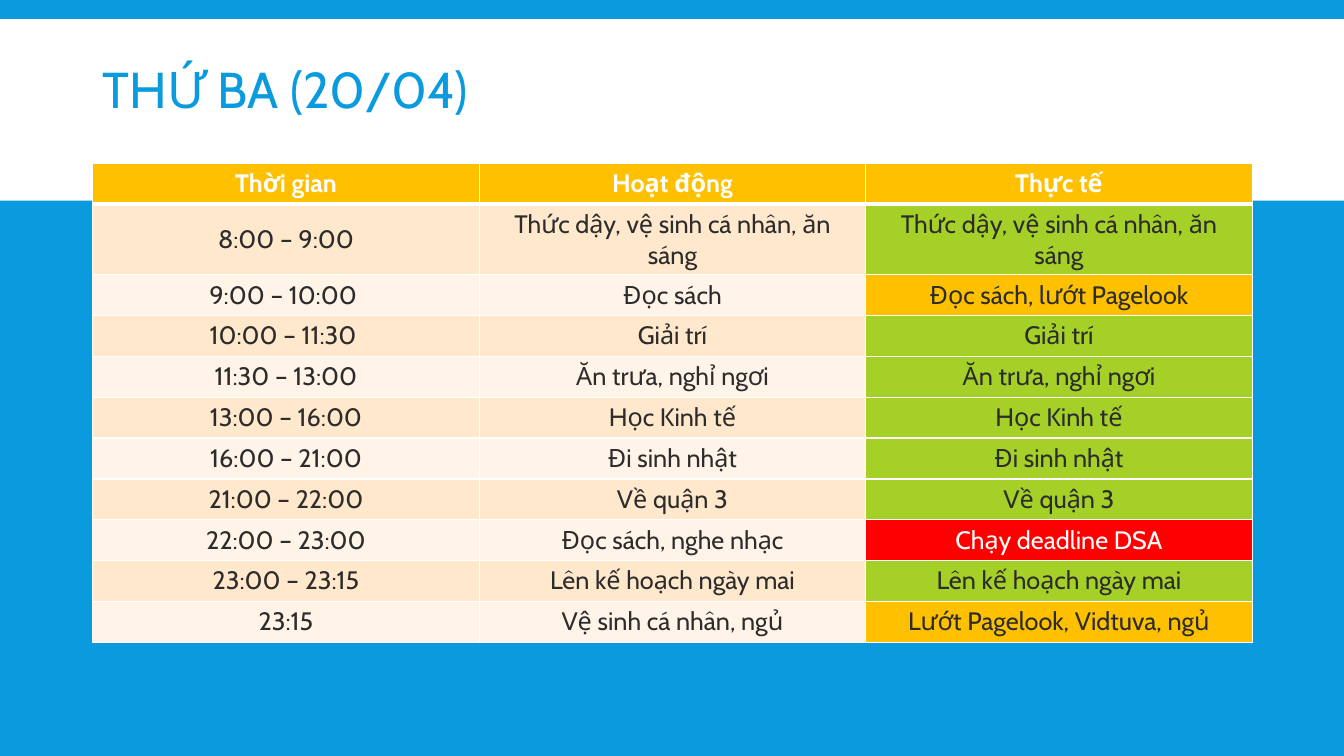
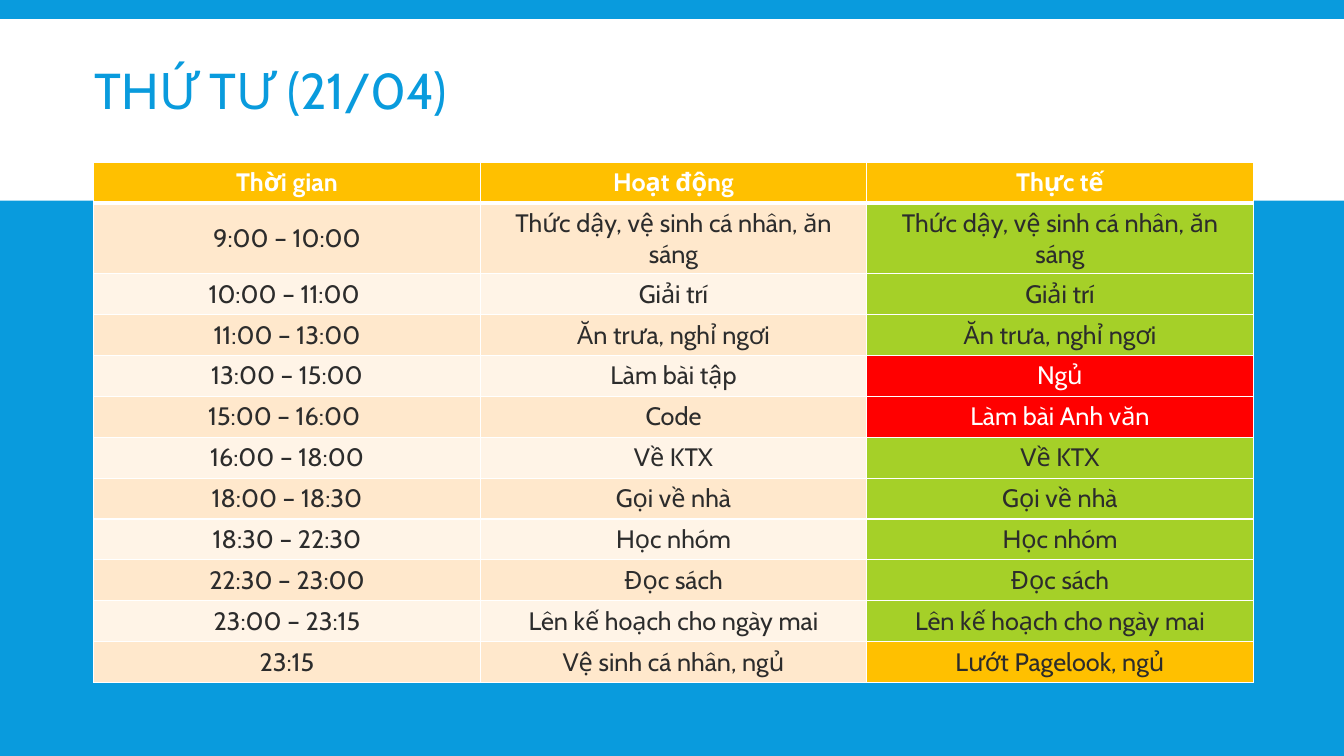
"""Builds two daily schedule slides comparing planned and actual activities."""
from typing import NamedTuple

from lxml.etree import SubElement
from pptx import Presentation
from pptx.dml.color import RGBColor
from pptx.enum.shapes import MSO_SHAPE as Shape
from pptx.enum.text import MSO_ANCHOR as Anchor, PP_ALIGN as Align
from pptx.oxml.ns import qn
from pptx.util import Inches, Pt

BLUE = RGBColor(0x09, 0x9B, 0xDD)
WHITE = RGBColor(0xFF, 0xFF, 0xFF)
DARK = RGBColor(0x2C, 0x2C, 0x2C)
AMBER = RGBColor(0xFF, 0xC0, 0x00)
GREEN = RGBColor(0xA5, 0xD0, 0x28)
RED = RGBColor(0xFF, 0x00, 0x00)
ROW_BANDS = (RGBColor(0xFF, 0xE8, 0xCC), RGBColor(0xFF, 0xF4, 0xE7))
FONT = "Cabin"
HEADERS = ("Thời gian", "Hoạt động", "Thực tế")


class Entry(NamedTuple):
    """One time slot; without an actual activity the plan was followed."""
    time: str
    plan: str
    actual: str = ""
    status: RGBColor = GREEN


TUESDAY = (
    Entry("8:00 – 9:00", "Thức dậy, vệ sinh cá nhân, ăn sáng"),
    Entry("9:00 – 10:00 ", "Đọc sách", "Đọc sách, lướt Pagelook", AMBER),
    Entry("10:00 – 11:30 ", "Giải trí"),
    Entry("11:30 – 13:00", "Ăn trưa, nghỉ ngơi"),
    Entry("13:00 – 16:00", "Học Kinh tế"),
    Entry("16:00 – 21:00", "Đi sinh nhật"),
    Entry("21:00 – 22:00", "Về quận 3"),
    Entry("22:00 – 23:00", "Đọc sách, nghe nhạc", "Chạy deadline DSA", RED),
    Entry("23:00 – 23:15", "Lên kế hoạch ngày mai"),
    Entry("23:15", "Vệ sinh cá nhân, ngủ", "Lướt Pagelook, Vidtuva, ngủ", AMBER),
)
WEDNESDAY = (
    Entry("9:00 – 10:00", "Thức dậy, vệ sinh cá nhân, ăn sáng"),
    Entry("10:00 – 11:00 ", "Giải trí"),
    Entry("11:00 – 13:00", "Ăn trưa, nghỉ ngơi"),
    Entry("13:00 – 15:00", "Làm bài tập", "Ngủ", RED),
    Entry("15:00 – 16:00 ", "Code", "Làm bài Anh văn", RED),
    Entry("16:00 – 18:00", "Về KTX"),
    Entry("18:00 – 18:30", "Gọi về nhà"),
    Entry("18:30 – 22:30", "Học nhóm"),
    Entry("22:30 – 23:00", "Đọc sách"),
    Entry("23:00 – 23:15", "Lên kế hoạch cho ngày mai"),
    Entry("23:15", "Vệ sinh cá nhân, ngủ", "Lướt Pagelook, ngủ", AMBER),
)


class ScheduleDeck:
    """Holds the deck style and the current slide."""

    def __init__(self):
        self.presentation = Presentation()
        self.presentation.slide_width = Inches(13.33)
        self.presentation.slide_height = Inches(7.5)
        background = self.presentation.slide_master.background.fill
        background.solid()
        background.fore_color.rgb = BLUE
        self.slide = None

    def new_slide(self):
        """Starts a slide with the white title band."""
        self.slide = self.presentation.slides.add_slide(self.presentation.slide_layouts[6])
        band = self.slide.shapes.add_shape(
            Shape.RECTANGLE, 0, Inches(0.19), self.presentation.slide_width, Inches(1.8))
        band.shadow.inherit = False
        band.fill.solid()
        band.fill.fore_color.rgb = WHITE
        band.line.fill.background()

    def title(self, text, left, top, width):
        """Adds the slide title."""
        box = self.slide.shapes.add_textbox(Inches(left), Inches(top), Inches(width), Inches(0.44))
        frame = box.text_frame
        frame.word_wrap = True
        frame.vertical_anchor = Anchor.MIDDLE
        paragraph = frame.paragraphs[0]
        paragraph.text = text
        paragraph.line_spacing = 0.85
        self.style_font(paragraph.font, 36, BLUE)

    def schedule(self, entries, left, top, height):
        """Adds the table of planned and actual activities."""
        table = self.slide.shapes.add_table(
            len(entries) + 1, len(HEADERS), Inches(left), Inches(top),
            Inches(11.5), Inches(height)).table
        table.horz_banding = False
        for cell, header in zip(table.rows[0].cells, HEADERS):
            self.cell(cell, header, AMBER, WHITE, bold=True, bottom=3)
        for index, entry in enumerate(entries):
            time, plan, actual = table.rows[index + 1].cells
            band = ROW_BANDS[index % 2]
            top_border = 1 if index else 3
            self.cell(time, entry.time, band, DARK, top=top_border)
            self.cell(plan, entry.plan, band, DARK, top=top_border)
            color = WHITE if entry.status == RED else DARK
            self.cell(actual, entry.actual or entry.plan, entry.status, color, top=top_border)

    def cell(self, cell, text, fill, color, bold=False, top=1, bottom=1):
        """Fills and styles one table cell."""
        properties = cell._tc.get_or_add_tcPr()
        for side, width in (("L", 1), ("R", 1), ("T", top), ("B", bottom)):
            border = SubElement(properties, qn(f"a:ln{side}"), w=str(Pt(width)))
            solid = SubElement(border, qn("a:solidFill"))
            SubElement(solid, qn("a:srgbClr"), val=str(WHITE))
        cell.fill.solid()
        cell.fill.fore_color.rgb = fill
        cell.vertical_anchor = Anchor.MIDDLE
        paragraph = cell.text_frame.paragraphs[0]
        paragraph.text = text
        paragraph.alignment = Align.CENTER
        self.style_font(paragraph.font, 18, color, bold)

    def style_font(self, font, size, color, bold=False):
        """Applies the deck font."""
        font.name = FONT
        font.size = Pt(size)
        font.bold = bold
        font.color.rgb = color


def main():
    """Builds and saves the deck."""
    deck = ScheduleDeck()
    deck.new_slide()
    deck.title("THỨ BA (20/04)", 0.92, 0.7, 4.02)
    deck.schedule(TUESDAY, 0.92, 1.62, 4.46)
    deck.new_slide()
    deck.title("THỨ TƯ (21/04)", 0.84, 0.71, 5.16)
    deck.schedule(WEDNESDAY, 0.93, 1.61, 4.87)
    deck.presentation.save("out.pptx")


if __name__ == "__main__":
    main()
